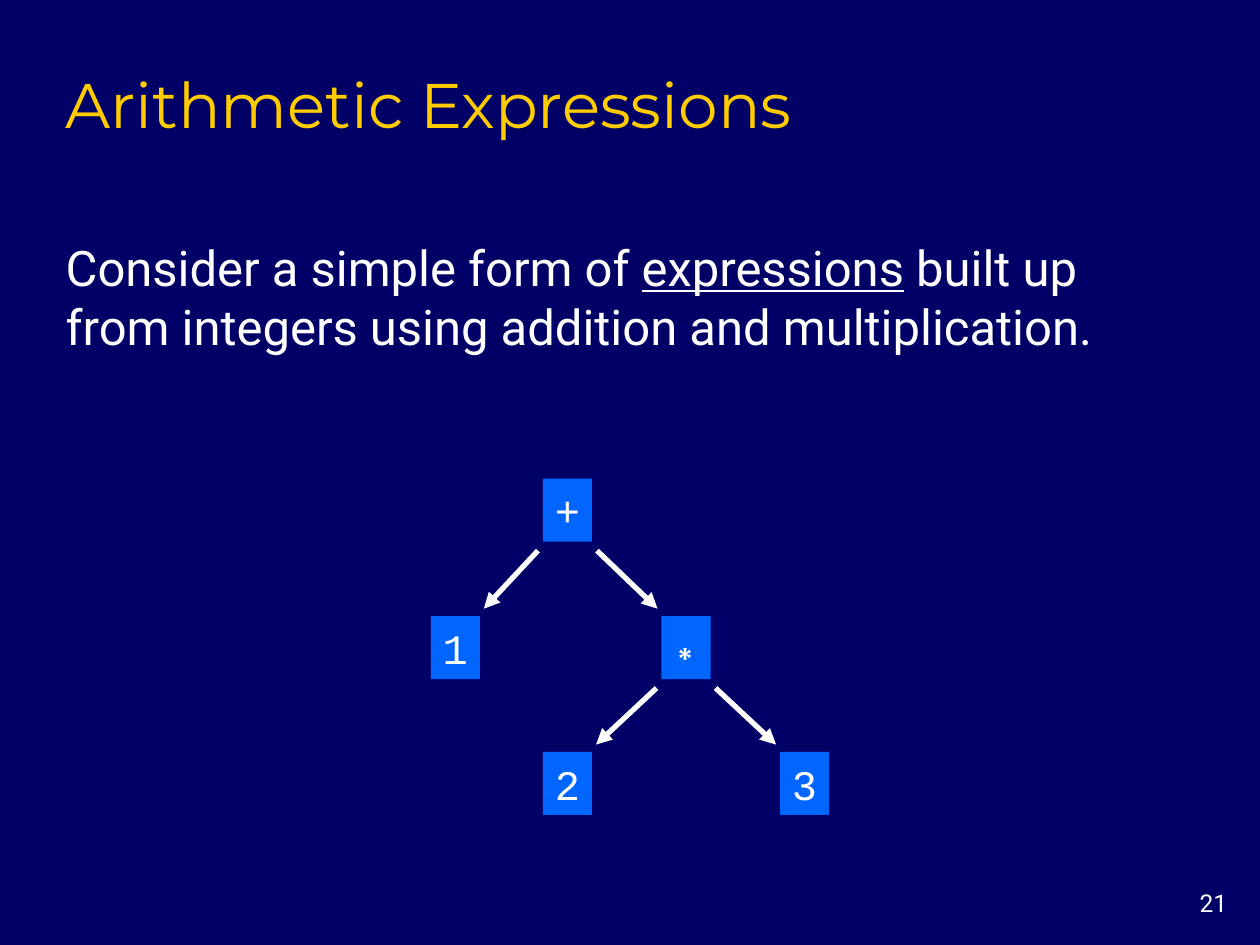
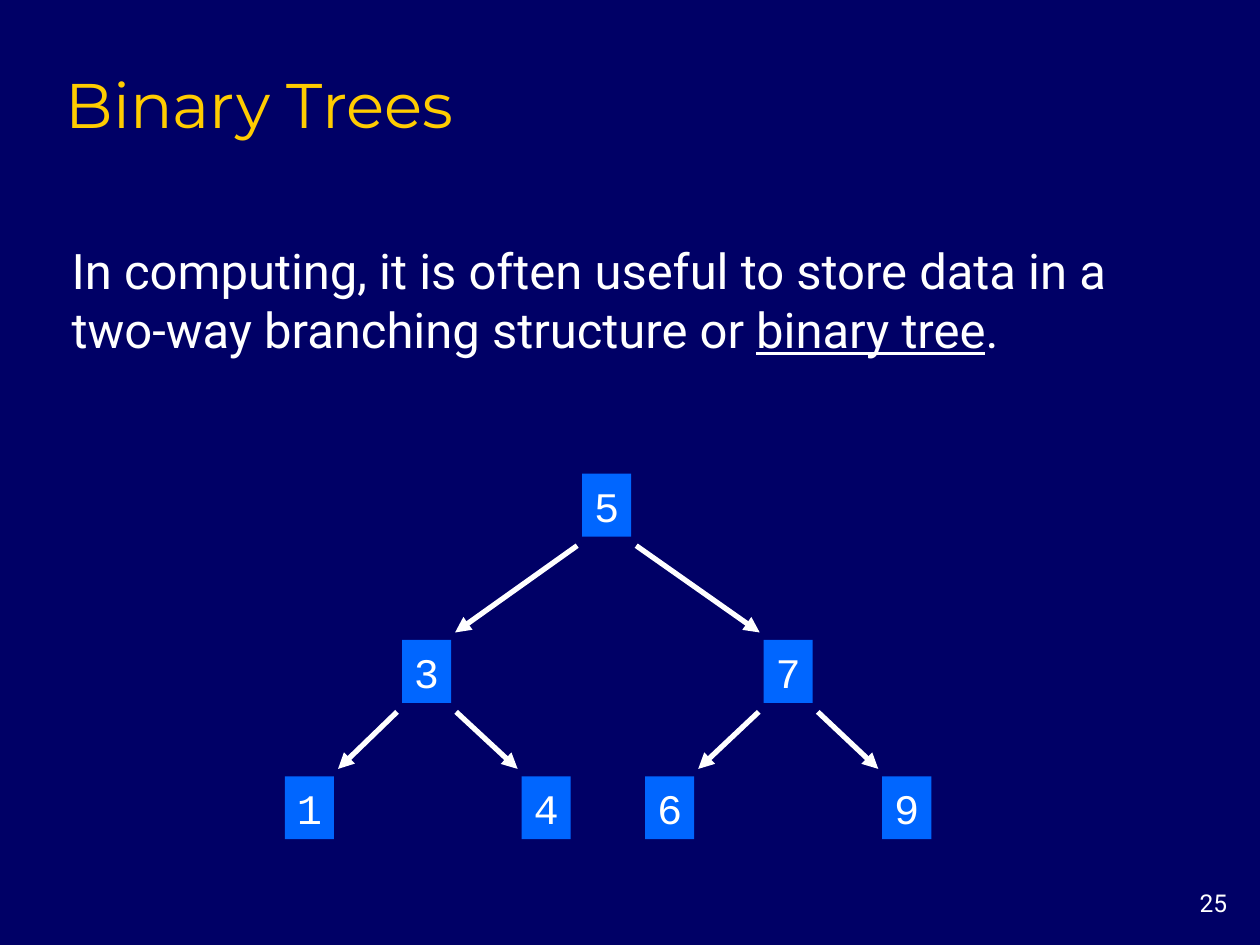
from dataclasses import dataclass

from lxml import etree
from pptx import Presentation
from pptx.dml.color import RGBColor
from pptx.enum import shapes as kinds, text as txt
from pptx.oxml import ns
from pptx.util import Cm, Pt


@dataclass(frozen=True)
class Theme:
    back: str = "000066"
    gold: str = "FFCC00"
    white: str = "FFFFFF"
    blue: str = "0066FF"
    head: tuple = ("Montserrat", 36)
    body: tuple = ("Roboto", 28)
    code: tuple = ("Courier New", 24)
    sign: tuple = ("Arial", 24)
    foot: tuple = ("Roboto", 14)


THEME = Theme()

# Content: body runs are (text, underlined); nodes are (label, centre x, children)
SLIDES = [
    {
        "title": "Arithmetic Expressions",
        "number": "21",
        "body": [
            ("Consider a simple form of ", False),
            ("expressions", True),
            (" built up from integers using addition and multiplication.", False),
        ],
        "place": (1.07, 4.65, 23.11, 2.64),
        "rows": (9.65, 12.42, 15.16),
        "tree": ("+", 11.44, [
            ("1", 9.18, []),
            ("∗", 13.83, [("2", 11.44, []), ("3", 16.22, [])]),
        ]),
    },
    {
        "title": "Binary Trees",
        "number": "25",
        "body": [
            ("In computing, it is often useful to store data in a two-way "
             "branching structure or ", False),
            ("binary tree", True),
            (".", False),
        ],
        "place": (1.19, 4.72, 22.76, 2.64),
        "rows": (9.55, 12.9, 15.65),
        "tree": ("5", 12.23, [
            ("3", 8.6, [("1", 6.24, []), ("4", 11.01, [])]),
            ("7", 15.89, [("6", 13.5, []), ("9", 18.28, [])]),
        ]),
    },
]

# Shared places and tree measures, in centimetres
TITLE = (1.07, 1.07, 21.59, 1.9)
NUMBER = (23.29, 17.78, 1.7, 0.84)
BOX_W, BOX_H = 0.99, 1.27
START = (0.1, 0.18)  # arrow gap from the parent's lower corner
END = (0.08, 0.15)   # arrow gap from the child's upper corner


def rgb(code):
    return RGBColor.from_string(code)


def style(para, face, color, align=txt.PP_ALIGN.LEFT):
    para.alignment = align
    para.space_before = Pt(0)
    font = para.font
    font.name, font.size = face[0], Pt(face[1])
    font.color.rgb = rgb(color)


def move(shape, place):
    shape.left, shape.top, shape.width, shape.height = map(Cm, place)


def frame(shape, anchor, wrap=True):
    box = shape.text_frame
    box.word_wrap = wrap
    box.auto_size = txt.MSO_AUTO_SIZE.NONE
    box.vertical_anchor = anchor
    return box


# Title, body text and slide number
def add_title(slide, words):
    head = slide.shapes.title
    move(head, TITLE)
    box = frame(head, txt.MSO_ANCHOR.BOTTOM)
    box.text = words
    style(box.paragraphs[0], THEME.head, THEME.gold)


def add_body(slide, runs, place):
    body = slide.placeholders[1]
    move(body, place)
    para = frame(body, txt.MSO_ANCHOR.MIDDLE).paragraphs[0]
    props = para._p.get_or_add_pPr()
    props.set("marL", "0")
    props.set("indent", "0")
    etree.SubElement(props, ns.qn("a:buNone"))
    style(para, THEME.body, THEME.white)
    for words, under in runs:
        run = para.add_run()
        run.text = words
        if under:
            run.font.underline = True


def add_number(slide, number):
    box = frame(slide.shapes.add_textbox(*map(Cm, NUMBER)), txt.MSO_ANCHOR.TOP)
    box.text = number
    style(box.paragraphs[0], THEME.foot, THEME.white, txt.PP_ALIGN.RIGHT)


# Tree parts
def add_node(group, label, mid, top):
    node = group.shapes.add_shape(
        kinds.MSO_SHAPE.RECTANGLE,
        Cm(mid - BOX_W / 2), Cm(top), Cm(BOX_W), Cm(BOX_H))
    node.shadow.inherit = False
    node.fill.solid()
    node.fill.fore_color.rgb = rgb(THEME.blue)
    node.line.fill.background()
    box = frame(node, txt.MSO_ANCHOR.MIDDLE, wrap=False)
    box.text = label
    face = THEME.sign if label == "∗" else THEME.code
    style(box.paragraphs[0], face, THEME.white, txt.PP_ALIGN.CENTER)


def add_arrow(group, mid, top, kid, low):
    side = 1 if kid > mid else -1
    ends = (mid + side * (BOX_W / 2 + START[0]), top + BOX_H + START[1],
            kid - side * (BOX_W / 2 + END[0]), low - END[1])
    arrow = group.shapes.add_connector(
        kinds.MSO_CONNECTOR.STRAIGHT, *map(Cm, ends))
    arrow.line.color.rgb = rgb(THEME.white)
    arrow.line.width = Pt(3)
    etree.SubElement(arrow.line._get_or_add_ln(), ns.qn("a:tailEnd"),
                     type="triangle")
    etree.SubElement(arrow._element.spPr, ns.qn("a:effectLst"))


def add_tree(group, node, rows):
    label, mid, kids = node
    add_node(group, label, mid, rows[0])
    for kid in kids:
        add_arrow(group, mid, rows[0], kid[1], rows[1])
        add_tree(group, kid, rows[1:])


def main():
    deck = Presentation()
    deck.slide_width, deck.slide_height = Cm(25.4), Cm(19.05)
    fill = deck.slide_master.background.fill
    fill.solid()
    fill.fore_color.rgb = rgb(THEME.back)
    for item in SLIDES:
        slide = deck.slides.add_slide(deck.slide_layouts[1])
        add_title(slide, item["title"])
        add_body(slide, item["body"], item["place"])
        add_number(slide, item["number"])
        add_tree(slide.shapes.add_group_shape(), item["tree"], item["rows"])
    deck.save("out.pptx")


if __name__ == "__main__":
    main()
